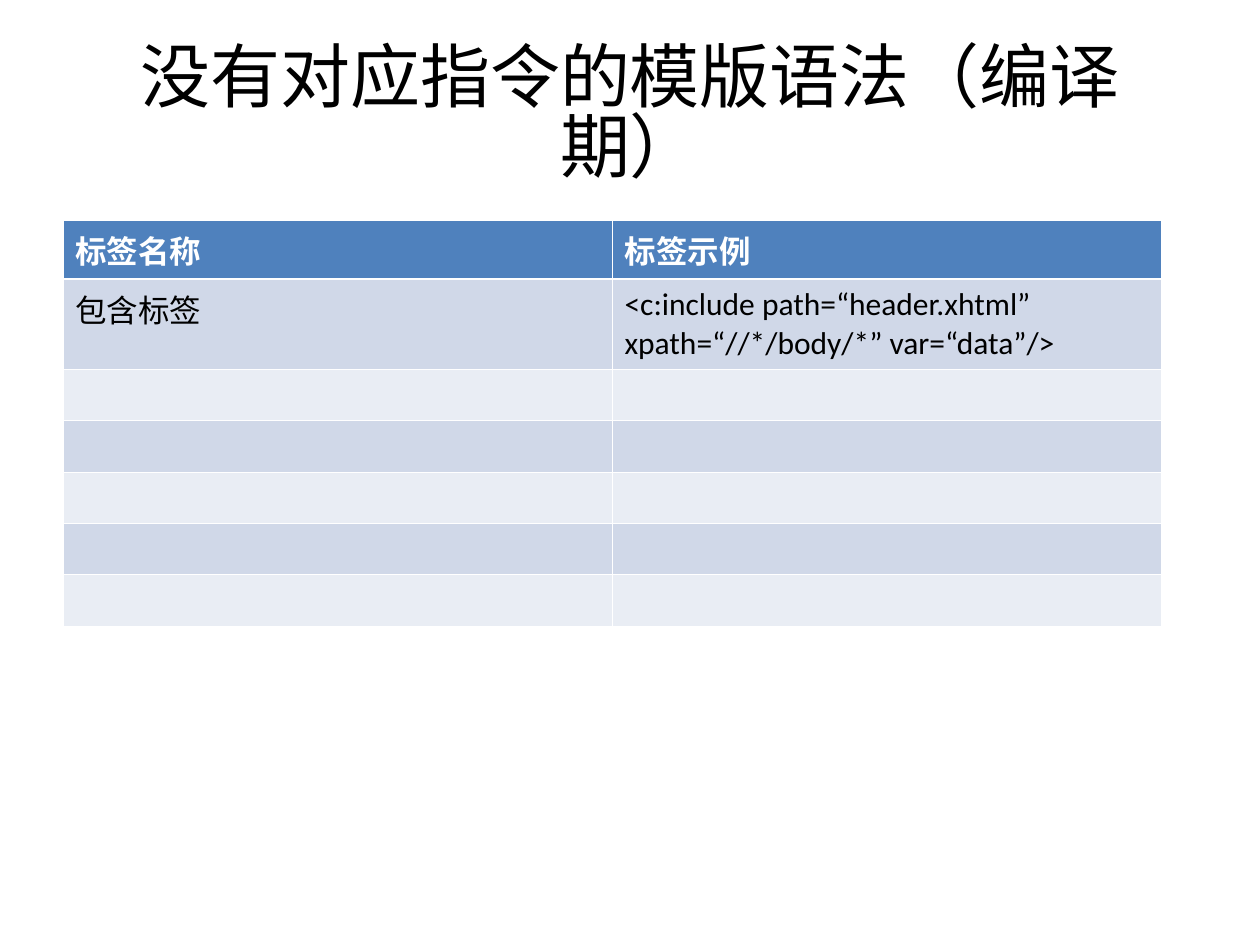
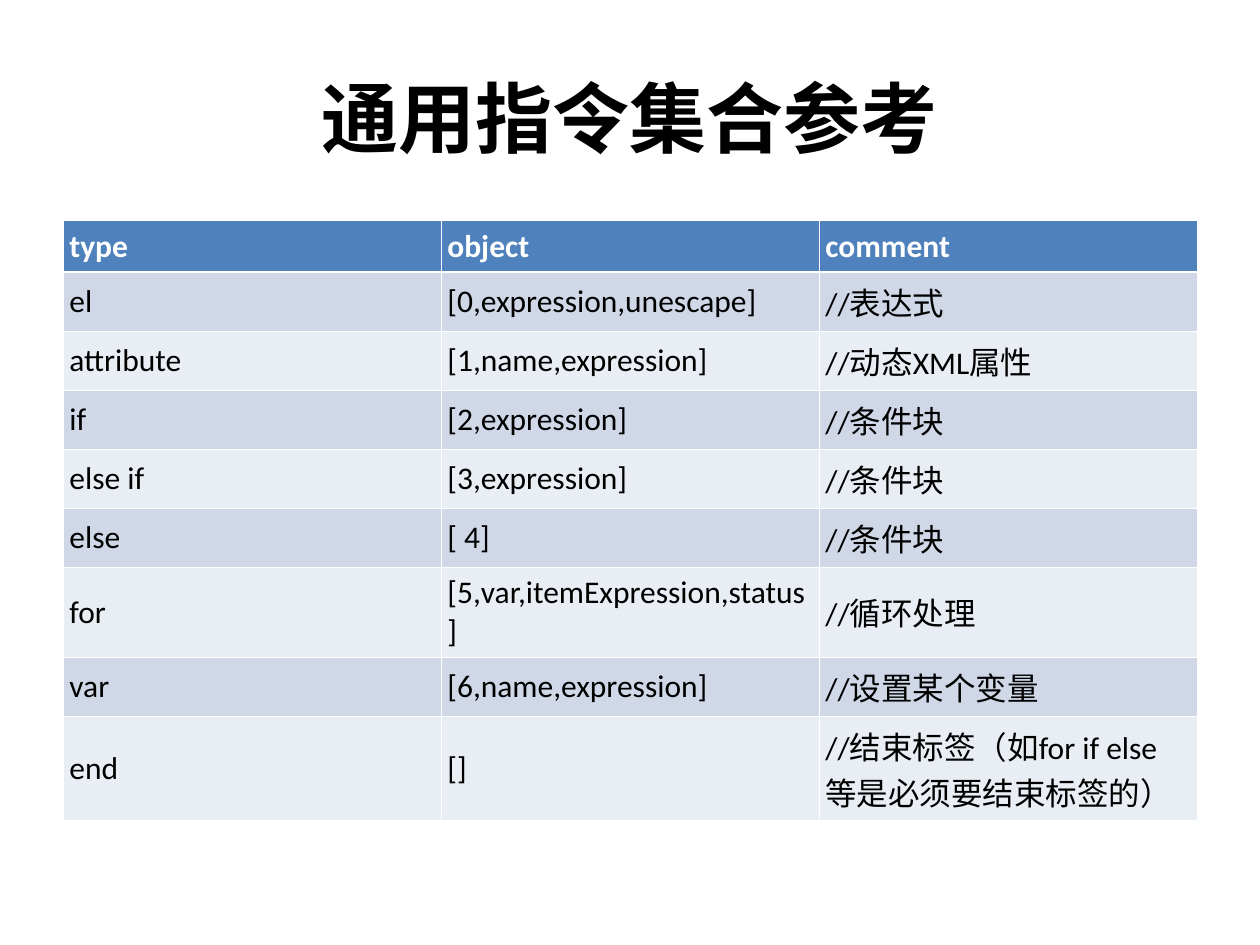
from lxml.etree import SubElement
from pptx import Presentation
from pptx.dml.color import RGBColor
from pptx.enum.text import MSO_ANCHOR as Anchor, MSO_AUTO_SIZE as AutoSize, PP_ALIGN as Align
from pptx.oxml.ns import qn
from pptx.util import Cm, Pt

FONT = "Calibri"
COLORS = {
    "text": "000000",
    "header": "4F81BD",
    "header_text": "FFFFFF",
    "band_dark": "D0D8E8",
    "band_light": "E9EDF4",
    "grid": "FFFFFF",
}
THIN, THICK = Pt(0.45), Pt(1.47)
LEFT = Cm(1.27)
TABLE_TOP = Cm(4.45)
CELL_PAD = Cm(0.13)
TITLE_ONLY = 5

TEMPLATE_ROWS = [
    ("标签名称", "标签示例"),
    ("包含标签", "<c:include path=“header.xhtml” xpath=“//*/body/*” var=“data”/>"),
] + [("", "")] * 5
TEMPLATE_HEIGHTS = [1.17, 1.8] + [1.03] * 5

INSTRUCTION_ROWS = [
    ("type", "object", "comment"),
    ("el", "[0,expression,unescape]", "//表达式"),
    ("attribute", "[1,name,expression]", "//动态XML属性"),
    ("if", "[2,expression]", "//条件块"),
    ("else if", "[3,expression]", "//条件块"),
    ("else", "[ 4]", "//条件块"),
    ("for", "[5,var,itemExpression,status]", "//循环处理"),
    ("var", "[6,name,expression]", "//设置某个变量"),
    ("end", "[]", "//结束标签（如for if else 等是必须要结束标签的）"),
]
INSTRUCTION_HEIGHTS = [1.03] + [1.19] * 5 + [1.8, 1.19, 2.11]


class SlideBuilder:
    """Holds the deck style and the slide being built."""

    def __init__(self, deck):
        self.deck = deck
        self.slide = None

    def new_slide(self):
        self.slide = self.deck.slides.add_slide(self.deck.slide_layouts[TITLE_ONLY])

    def add_span(self, para, text, size, color, bold=False):
        span = para.add_run()
        span.text = text
        span.font.name = FONT
        span.font.size = Pt(size)
        span.font.bold = bold
        span.font.color.rgb = RGBColor.from_string(COLORS[color])

    def title(self, text, size, bold=False, line_spacing=1.0):
        box = self.slide.shapes.title
        box.left, box.top, box.width, box.height = LEFT, Cm(0.76), Cm(22.86), Cm(3.18)
        frame = box.text_frame
        frame.word_wrap = True
        frame.auto_size = AutoSize.NONE
        frame.vertical_anchor = Anchor.MIDDLE
        para = frame.paragraphs[0]
        para.alignment = Align.CENTER
        para.line_spacing = line_spacing
        self.add_span(para, text, size, "text", bold)

    def border(self, cell, row):
        """Draws the cell grid, thicker between the header and the body."""
        widths = {
            "a:lnL": THIN,
            "a:lnR": THIN,
            "a:lnT": THICK if row == 1 else THIN,
            "a:lnB": THICK if row == 0 else THIN,
        }
        properties = cell._tc.get_or_add_tcPr()
        for tag, width in widths.items():
            line = SubElement(properties, qn(tag), w=str(width))
            fill = SubElement(line, qn("a:solidFill"))
            SubElement(fill, qn("a:srgbClr"), val=COLORS["grid"])

    def cell(self, cell, row, text, anchor, side_pad):
        is_header = row == 0
        self.border(cell, row)
        band = "header" if is_header else "band_dark" if row % 2 else "band_light"
        cell.fill.solid()
        cell.fill.fore_color.rgb = RGBColor.from_string(COLORS[band])
        cell.vertical_anchor = anchor
        cell.margin_left = cell.margin_right = side_pad
        cell.margin_top = cell.margin_bottom = CELL_PAD
        if text:
            color = "header_text" if is_header else "text"
            self.add_span(cell.text_frame.paragraphs[0], text, 18, color, is_header)

    def table(self, rows, heights, column_width, anchor, side_pad):
        columns = len(rows[0])
        grid = self.slide.shapes.add_table(
            len(rows), columns, LEFT, TABLE_TOP, column_width * columns, Cm(sum(heights))
        ).table
        for column in grid.columns:
            column.width = column_width
        for r, (texts, height) in enumerate(zip(rows, heights)):
            grid.rows[r].height = Cm(height)
            for c, text in enumerate(texts):
                self.cell(grid.cell(r, c), r, text, anchor, side_pad)


def main():
    deck = Presentation()
    deck.slide_width, deck.slide_height = Cm(25.4), Cm(19.05)
    builder = SlideBuilder(deck)

    builder.new_slide()
    builder.title("没有对应指令的模版语法（编译期）", 40, line_spacing=0.83)
    builder.table(TEMPLATE_ROWS, TEMPLATE_HEIGHTS, Cm(11.07), Anchor.TOP, Cm(0.25))

    builder.new_slide()
    builder.title("通用指令集合参考", 44, bold=True)
    builder.table(INSTRUCTION_ROWS, INSTRUCTION_HEIGHTS, Cm(7.62), Anchor.MIDDLE, CELL_PAD)

    deck.save("out.pptx")


if __name__ == "__main__":
    main()
